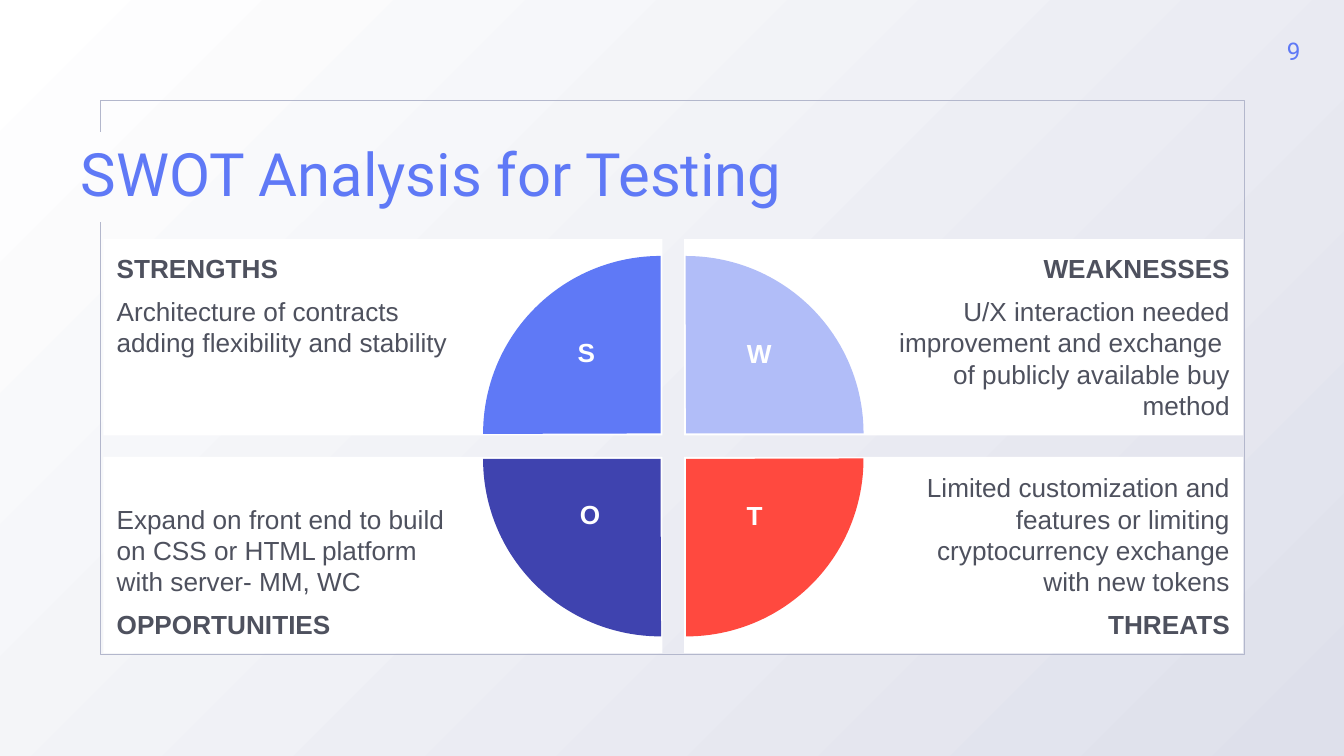
from dataclasses import dataclass

from pptx import Presentation
from pptx.dml.color import RGBColor
from pptx.enum.shapes import MSO_SHAPE as Preset
from pptx.enum.text import MSO_ANCHOR as Anchor, MSO_AUTO_SIZE as AutoSize, PP_ALIGN as Align
from pptx.util import Inches, Pt

COLORS = {
    "white": "FFFFFF", "mist": "DEE0EB", "frame": "B3B7CC", "ink": "4E515E",
    "blue": "5F79F6", "pale": "B1BDF8", "red": "FF493F", "indigo": "3F43AF",
}
SLIDE_WIDTH = 10
SLIDE_HEIGHT = SLIDE_WIDTH * 9 / 16

# Two by two grid of panels
GRID_LEFT, GRID_TOP = 0.77, 1.78
PANEL_WIDTH, PANEL_HEIGHT, GAP = 4.16, 1.46, 0.16
HUB_X = GRID_LEFT + PANEL_WIDTH + GAP / 2
HUB_Y = GRID_TOP + PANEL_HEIGHT + GAP / 2
PIE_SIZE, PIE_GAP = 2.64, 0.19
WIDE_INSET, INSET = 1.5, 0.1
LETTER_HEIGHT = 0.48


@dataclass
class Quadrant:
    column: int
    row: int
    heading: str
    detail: str
    color: str
    turn: int
    letter_left: float
    letter_top: float
    letter_width: float


QUADRANTS = [
    Quadrant(0, 0, "STRENGTHS",
             "Architecture of contracts adding flexibility and stability",
             "blue", 0, 4.2, 2.45, 0.32),
    Quadrant(1, 0, "WEAKNESSES",
             "U/X interaction needed improvement and exchange  of publicly available buy method",
             "pale", 90, 5.31, 2.46, 0.68),
    Quadrant(0, 1, "OPPORTUNITIES",
             "Expand on front end to build on CSS or HTML platform with server- MM, WC",
             "indigo", 270, 4.16, 3.66, 0.46),
    Quadrant(1, 1, "THREATS",
             "Limited customization and features or limiting cryptocurrency exchange with new tokens",
             "red", 180, 5.44, 3.67, 0.35),
]


def rgb(name: str) -> RGBColor:
    return RGBColor.from_string(COLORS[name])


def style(para, size: float, font: str, color: str, bold: bool = False) -> None:
    for span in para.runs:
        span.font.size, span.font.name, span.font.bold = Pt(size), font, bold
        span.font.color.rgb = rgb(color)


def set_insets(frame, left: float = 0, top: float = 0, right: float = 0, bottom: float = 0) -> None:
    frame.margin_left, frame.margin_top = Inches(left), Inches(top)
    frame.margin_right, frame.margin_bottom = Inches(right), Inches(bottom)


def add_filled(page, preset, left: float, top: float, width: float, height: float, color: str):
    """Add a flat preset shape without outline or shadow."""
    shape = page.shapes.add_shape(preset, Inches(left), Inches(top), Inches(width), Inches(height))
    shape.shadow.inherit = False
    shape.fill.solid()
    shape.fill.fore_color.rgb = rgb(color)
    shape.line.fill.background()
    return shape


def add_label(page, text: str, left: float, top: float, width: float, height: float):
    """Add a centred one-line text box and return its frame."""
    box = page.shapes.add_textbox(Inches(left), Inches(top), Inches(width), Inches(height))
    frame = box.text_frame
    frame.word_wrap = True
    frame.text = text
    frame.paragraphs[0].alignment = Align.CENTER
    return frame


def add_background(page) -> None:
    fill = page.background.fill
    fill.gradient()
    fill.gradient_angle = 315
    for stop, position, color in zip(fill.gradient_stops, (0, 1), ("white", "mist")):
        stop.position = position
        stop.color.rgb = rgb(color)


def add_frame(page) -> None:
    """Outline the content in hundredths of an inch, open on the left for the title."""
    left, top, right, bottom = 75, 75, 926, 487
    points = [(left, top), (right, top), (right, bottom), (left, bottom), (left, 165)]
    builder = page.shapes.build_freeform(left, 98, scale=Inches(0.01))
    builder.add_line_segments(points, close=False)
    outline = builder.convert_to_shape()
    outline.shadow.inherit = False
    outline.fill.background()
    outline.line.color.rgb = rgb("frame")
    outline.line.width = Pt(0.75)


def set_title(page, text: str) -> None:
    title = page.shapes.title
    title.left, title.top = Inches(0.6), Inches(0.97)
    title.width, title.height = Inches(8.5), Inches(0.69)
    frame = title.text_frame
    frame.text = text
    frame.auto_size = AutoSize.NONE
    frame.vertical_anchor = Anchor.MIDDLE
    set_insets(frame)
    para = frame.paragraphs[0]
    para.alignment, para.line_spacing = Align.LEFT, 0.9
    style(para, 32, "Roboto", "blue")


def add_page_number(page, number: int) -> None:
    size = 0.75
    frame = add_label(page, str(number), SLIDE_WIDTH - size, 0, size, size)
    frame.vertical_anchor = Anchor.MIDDLE
    set_insets(frame)
    style(frame.paragraphs[0], 13, "Roboto", "blue")


def add_panel(page, quadrant: Quadrant) -> None:
    """Add the text panel; lower panels put the heading last."""
    left = GRID_LEFT + quadrant.column * (PANEL_WIDTH + GAP)
    top = GRID_TOP + quadrant.row * (PANEL_HEIGHT + GAP)
    panel = add_filled(page, Preset.RECTANGLE, left, top, PANEL_WIDTH, PANEL_HEIGHT, "white")
    frame = panel.text_frame
    frame.word_wrap = True
    frame.vertical_anchor = Anchor.BOTTOM if quadrant.row else Anchor.TOP
    sides = (WIDE_INSET, INSET) if quadrant.column else (INSET, WIDE_INSET)
    set_insets(frame, sides[0], INSET, sides[1], INSET)
    texts = [quadrant.heading, quadrant.detail]
    if quadrant.row:
        texts.reverse()
    frame.text = "\n".join(texts)
    for para in frame.paragraphs:
        para.alignment = Align.RIGHT if quadrant.column else Align.LEFT
        style(para, 14, "Arial", "ink", bold=para.text == quadrant.heading)
    last = frame.paragraphs[-1]
    last.space_before = last.space_after = Pt(6)


def add_pie(page, quadrant: Quadrant) -> None:
    left = HUB_X + (quadrant.column - 0.5) * PIE_GAP - PIE_SIZE / 2
    top = HUB_Y + (quadrant.row - 0.5) * PIE_GAP - PIE_SIZE / 2
    pie = add_filled(page, Preset.PIE, left, top, PIE_SIZE, PIE_SIZE, quadrant.color)
    pie.adjustments[0], pie.adjustments[1] = 107.89, 162
    pie.rotation = quadrant.turn


def add_letter(page, quadrant: Quadrant) -> None:
    frame = add_label(page, quadrant.heading[0], quadrant.letter_left, quadrant.letter_top,
                      quadrant.letter_width, LETTER_HEIGHT)
    frame.word_wrap = False
    style(frame.paragraphs[0], 14, "Arial", "white", bold=True)


def main() -> None:
    deck = Presentation()
    deck.slide_width, deck.slide_height = Inches(SLIDE_WIDTH), Inches(SLIDE_HEIGHT)
    page = deck.slides.add_slide(deck.slide_layouts.get_by_name("Title Only"))
    add_background(page)
    add_frame(page)
    set_title(page, "SWOT Analysis for Testing")
    add_page_number(page, 9)
    for draw in (add_panel, add_pie, add_letter):
        for quadrant in QUADRANTS:
            draw(page, quadrant)
    deck.save("out.pptx")


if __name__ == "__main__":
    main()
